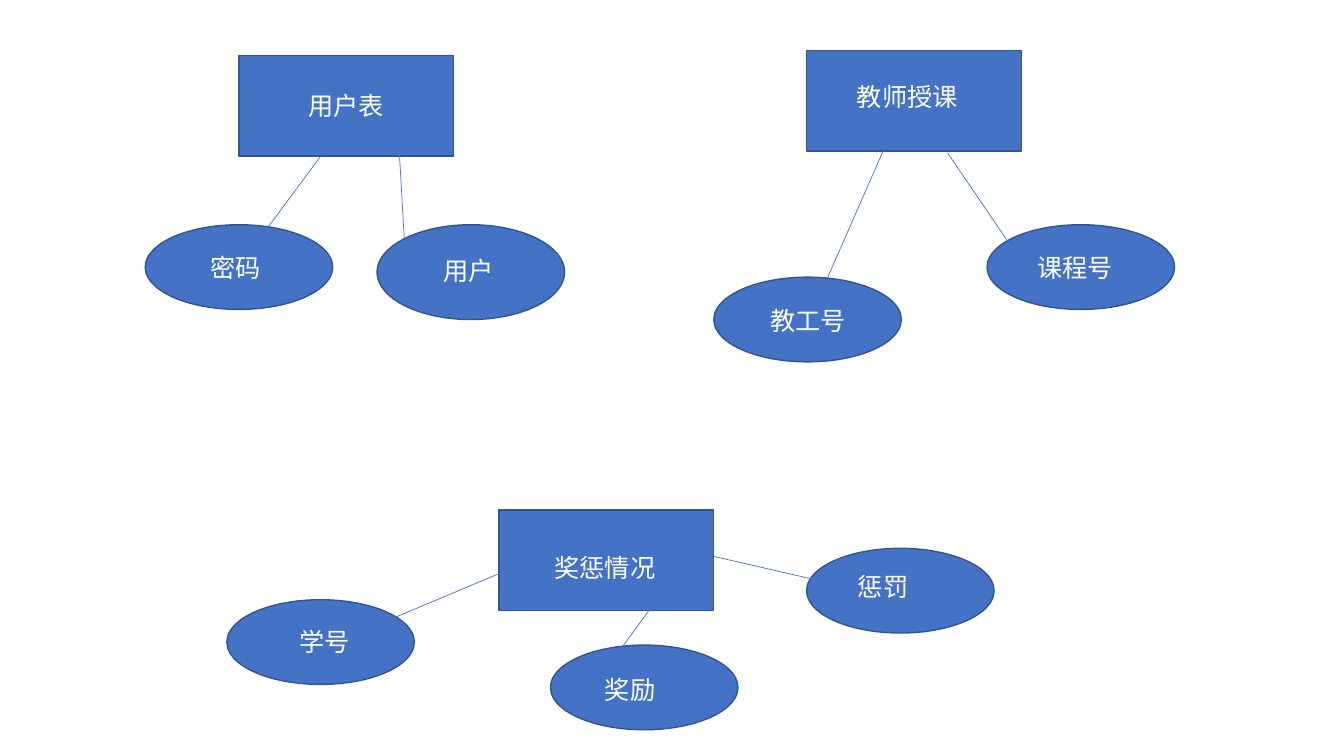
from lxml.etree import SubElement
from pptx import Presentation
from pptx.dml.color import RGBColor
from pptx.enum.shapes import MSO_CONNECTOR, MSO_SHAPE
from pptx.enum.text import MSO_ANCHOR, MSO_AUTO_SIZE, PP_ALIGN
from pptx.oxml.ns import qn
from pptx.util import Inches, Pt

BLUE = RGBColor(0x44, 0x72, 0xC4)
EDGE = RGBColor(0x32, 0x54, 0x91)
WHITE = RGBColor(0xFF, 0xFF, 0xFF)
FONT = "Noto Sans CJK SC"
USER = (2.37, 0.55)
TABLES = [USER, (8, 0.5), (4.95, 5.06)]
FIELDS = [
    (1.44, 2.23, 0.84), (3.74, 2.23, 0.94), (7.08, 2.75, 0.84),
    (9.79, 2.23, 0.84), (8, 5.44, 0.84), (5.46, 6.4, 0.84),
    (2.25, 5.95, 0.84),
]
LINKS = [
    (3.18, 1.55, 2.61, 2.32), (3.96, 1.5, 4.01, 2.37),
    (8.78, 1.45, 8.21, 2.75), (9.4, 1.52, 10.19, 2.68),
    (5, 5.67, 3.55, 6.28), (6.58, 5.86, 6.01, 6.64),
    (8.21, 5.78, 7.08, 5.52),
]
LABELS = [
    ("教师授课", 8.4, 0.76, 0.71), ("用户", 4.3, 2.48, 0.4),
    ("课程号", 10.19, 2.45, 0.4), ("教工号", 7.54, 2.98, 0.71),
    ("奖惩情况", 5.4, 5.43, 0.4), ("密码", 1.99, 2.45, 0.71),
    ("学号", 2.87, 6.16, 0.4), ("奖励", 5.9, 6.64, 0.4),
    ("惩罚", 8.41, 5.62, 0.71),
]


def add_run(para, text):
    """Add one white run to a paragraph."""
    run = para.add_run()
    run.text = text
    run.font.size = Pt(18)
    run.font.color.rgb = WHITE
    run.font.name = FONT
    east = SubElement(run.font._element, qn("a:ea"))
    east.set("typeface", FONT)


def add_node(slide, kind, left, top, width, height):
    """Draw a filled and outlined shape."""
    node = slide.shapes.add_shape(
        kind, Inches(left), Inches(top), Inches(width), Inches(height))
    node.shadow.inherit = False
    node.fill.solid()
    node.fill.fore_color.rgb = BLUE
    node.line.color.rgb = EDGE
    node.line.width = Pt(1)
    return node


def add_link(slide, *ends):
    """Draw a thin line between two points."""
    link = slide.shapes.add_connector(
        MSO_CONNECTOR.STRAIGHT, *[Inches(end) for end in ends])
    link.line.color.rgb = BLUE
    link.line.width = Pt(0.5)
    SubElement(link._element.spPr, qn("a:effectLst"))


def add_label(slide, text, left, top, height):
    """Place a wrapped text box."""
    box = slide.shapes.add_textbox(
        Inches(left), Inches(top), Inches(1.35), Inches(height))
    frame = box.text_frame
    frame.word_wrap = True
    frame.auto_size = MSO_AUTO_SIZE.SHAPE_TO_FIT_TEXT
    add_run(frame.paragraphs[0], text)


def main():
    """Build the slide and save it."""
    deck = Presentation()
    deck.slide_width = Inches(13.33)
    deck.slide_height = Inches(7.5)
    slide = deck.slides.add_slide(deck.slide_layouts[6])
    for left, top, height in FIELDS:
        add_node(slide, MSO_SHAPE.OVAL, left, top, 1.86, height)
    for spot in TABLES:
        node = add_node(slide, MSO_SHAPE.RECTANGLE, *spot, 2.13, 1)
        if spot == USER:
            node.text_frame.vertical_anchor = MSO_ANCHOR.MIDDLE
            para = node.text_frame.paragraphs[0]
            para.alignment = PP_ALIGN.CENTER
            add_run(para, "用户表")
    for ends in LINKS:
        add_link(slide, *ends)
    for label in LABELS:
        add_label(slide, *label)
    deck.save("out.pptx")


if __name__ == "__main__":
    main()
